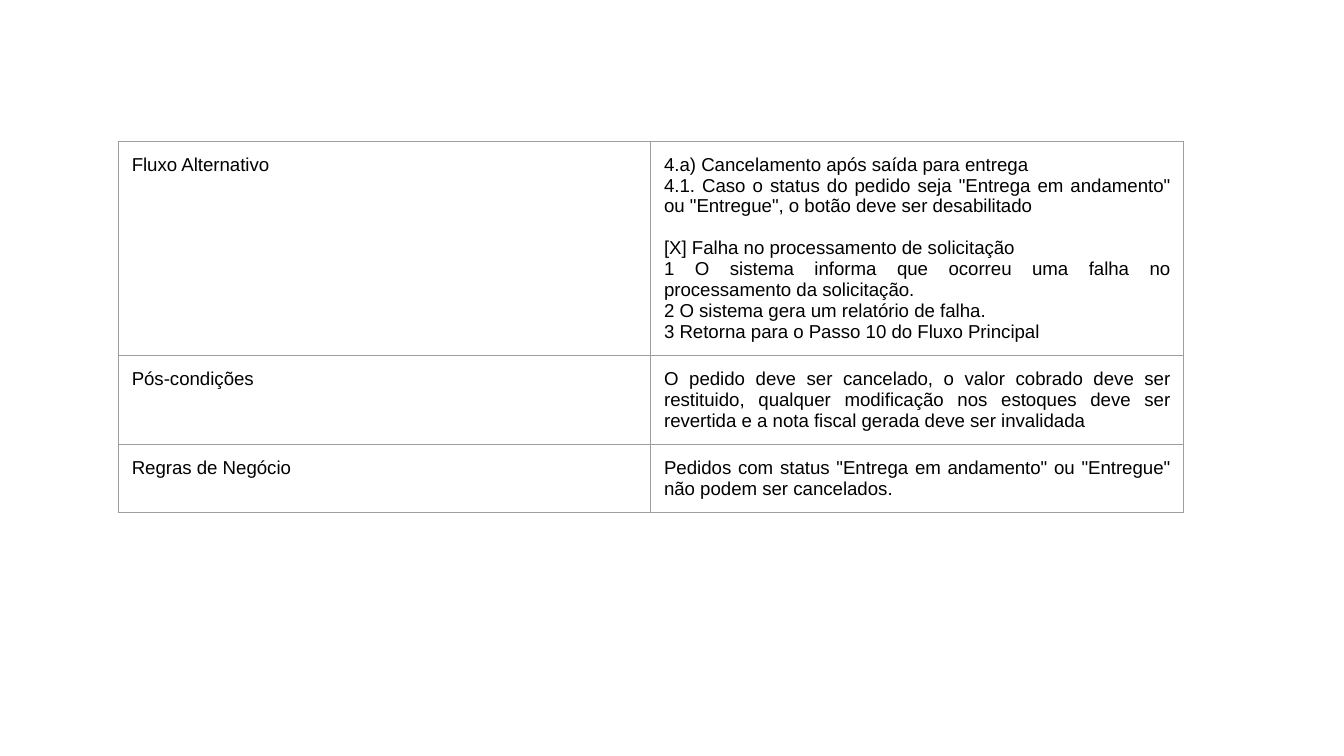
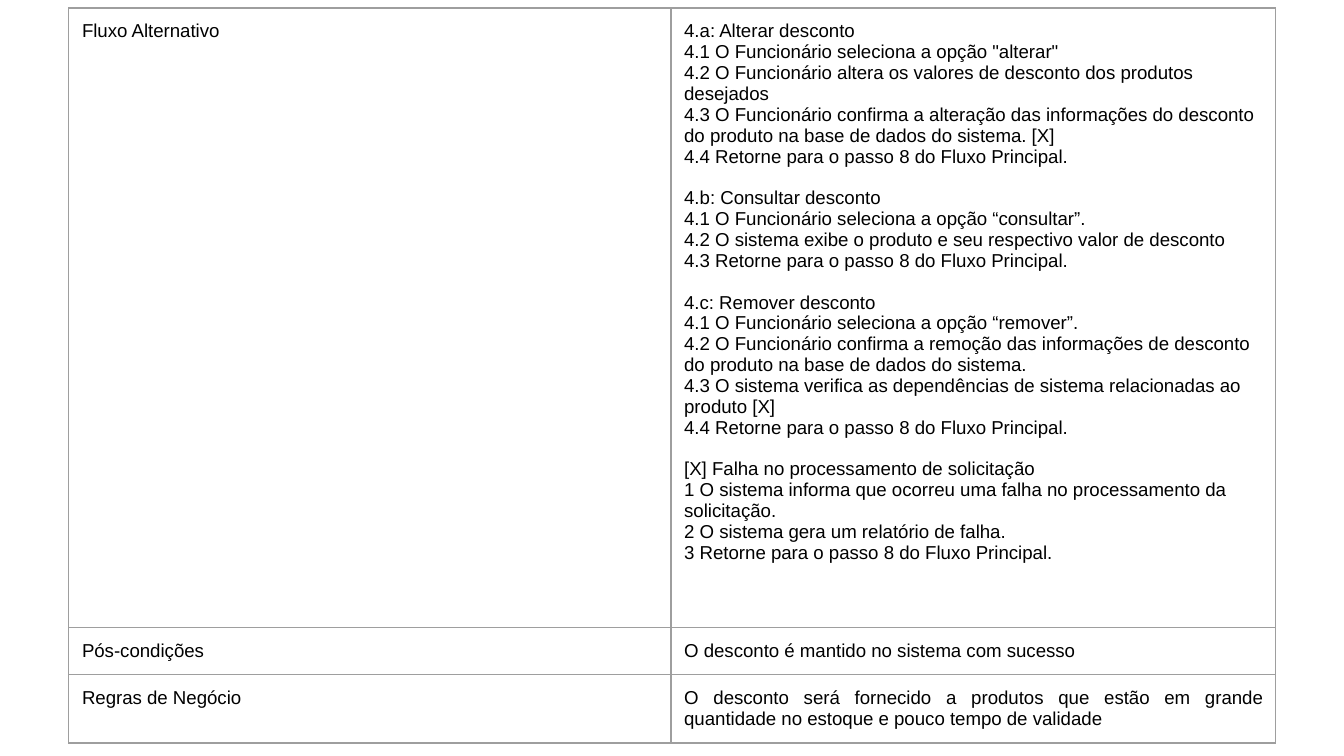
from lxml.etree import SubElement
from pptx import Presentation
from pptx.dml.color import RGBColor
from pptx.enum.text import PP_ALIGN
from pptx.oxml.ns import qn
from pptx.util import Cm, Pt

COLORS = {"text": "000000", "border": "9E9E9E"}
ROW_LABELS = ["Fluxo Alternativo", "Pós-condições", "Regras de Negócio"]


class Deck:
    """Shared style and the current slide."""

    font, size = "Arial", Pt(10)
    inset, border = Cm(0.25), Pt(0.75)
    group_gap = Pt(11.2)

    def __init__(self):
        self.prs = Presentation()
        self.prs.slide_width, self.prs.slide_height = Cm(25.4), Cm(14.29)
        self.s = None

    def slide(self):
        self.s = self.prs.slides.add_slide(self.prs.slide_layouts[6])

    def borders(self, cell):
        tcPr = cell._tc.get_or_add_tcPr()
        for side in ("a:lnL", "a:lnR", "a:lnT", "a:lnB"):
            ln = SubElement(tcPr, qn(side), w=str(self.border))
            fill = SubElement(ln, qn("a:solidFill"))
            SubElement(fill, qn("a:srgbClr"), val=COLORS["border"])

    def cell(self, cell, groups, align):
        """Fill a cell with groups of lines, a gap before each later group."""
        cell.margin_left = cell.margin_right = self.inset
        cell.margin_top = cell.margin_bottom = self.inset
        self.borders(cell)
        cell.fill.background()
        tf = cell.text_frame
        tf.text = "\n".join(line for group in groups for line in group)
        for p in tf.paragraphs:
            p.alignment = align
            p.font.name, p.font.size = self.font, self.size
            p.font.color.rgb = RGBColor.from_string(COLORS["text"])
        start = 0
        for group in groups[:-1]:
            start += len(group)
            tf.paragraphs[start].space_before = self.group_gap

    def table(self, left, top, widths, heights, contents, aligns):
        """Draw a use-case table: row labels left, contents right."""
        frame = self.s.shapes.add_table(
            len(heights), len(widths), Cm(left), Cm(top),
            Cm(sum(widths)), Cm(sum(heights)))
        table = frame.table
        table.first_row = table.horz_banding = False
        for column, width in zip(table.columns, widths):
            column.width = Cm(width)
        for i, height in enumerate(heights):
            table.rows[i].height = Cm(height)
            self.cell(table.cell(i, 0), [[ROW_LABELS[i]]], PP_ALIGN.LEFT)
            self.cell(table.cell(i, 1), contents[i], aligns[i])


def main():
    deck = Deck()
    left, justify = PP_ALIGN.LEFT, PP_ALIGN.JUSTIFY
    failure = [
        "[X] Falha no processamento de solicitação",
        "1 O sistema informa que ocorreu uma falha no processamento da solicitação.",
        "2 O sistema gera um relatório de falha.",
    ]
    back = "Retorne para o passo 8 do Fluxo Principal."

    # Order cancellation
    deck.slide()
    deck.table(2.24, 2.67, [10.06] * 2, [1.07] * 3, [
        [
            ["4.a) Cancelamento após saída para entrega",
             '4.1. Caso o status do pedido seja "Entrega em andamento" ou '
             '"Entregue", o botão deve ser desabilitado'],
            failure + ["3 Retorna para o Passo 10 do Fluxo Principal"],
        ],
        [["O pedido deve ser cancelado, o valor cobrado deve ser restituido, "
          "qualquer modificação nos estoques deve ser revertida e a nota "
          "fiscal gerada deve ser invalidada"]],
        [['Pedidos com status "Entrega em andamento" ou "Entregue" não podem '
          "ser cancelados."]],
    ], [justify] * 3)

    # Discount maintenance
    deck.slide()
    deck.table(1.3, 0.15, [11.38, 11.43], [11.71, 0.61, 1.19], [
        [
            ["4.a: Alterar desconto",
             '4.1 O Funcionário seleciona a opção "alterar"',
             "4.2 O Funcionário altera os valores de desconto dos produtos desejados",
             "4.3 O Funcionário confirma a alteração das informações do desconto "
             "do produto na base de dados do sistema. [X]",
             f"4.4 {back}"],
            ["4.b: Consultar desconto",
             "4.1 O Funcionário seleciona a opção “consultar”.",
             "4.2 O sistema exibe o produto e seu respectivo valor de desconto",
             f"4.3 {back}"],
            ["4.c: Remover desconto",
             "4.1 O Funcionário seleciona a opção “remover”.",
             "4.2 O Funcionário confirma a remoção das informações de desconto "
             "do produto na base de dados do sistema.",
             "4.3 O sistema verifica as dependências de sistema relacionadas ao "
             "produto [X]",
             f"4.4 {back}"],
            failure + [f"3 {back}"],
        ],
        [["O desconto é mantido no sistema com sucesso"]],
        [["O desconto será fornecido a produtos que estão em grande quantidade "
          "no estoque e pouco tempo de validade"]],
    ], [left, justify, justify])

    deck.prs.save("out.pptx")


if __name__ == "__main__":
    main()
